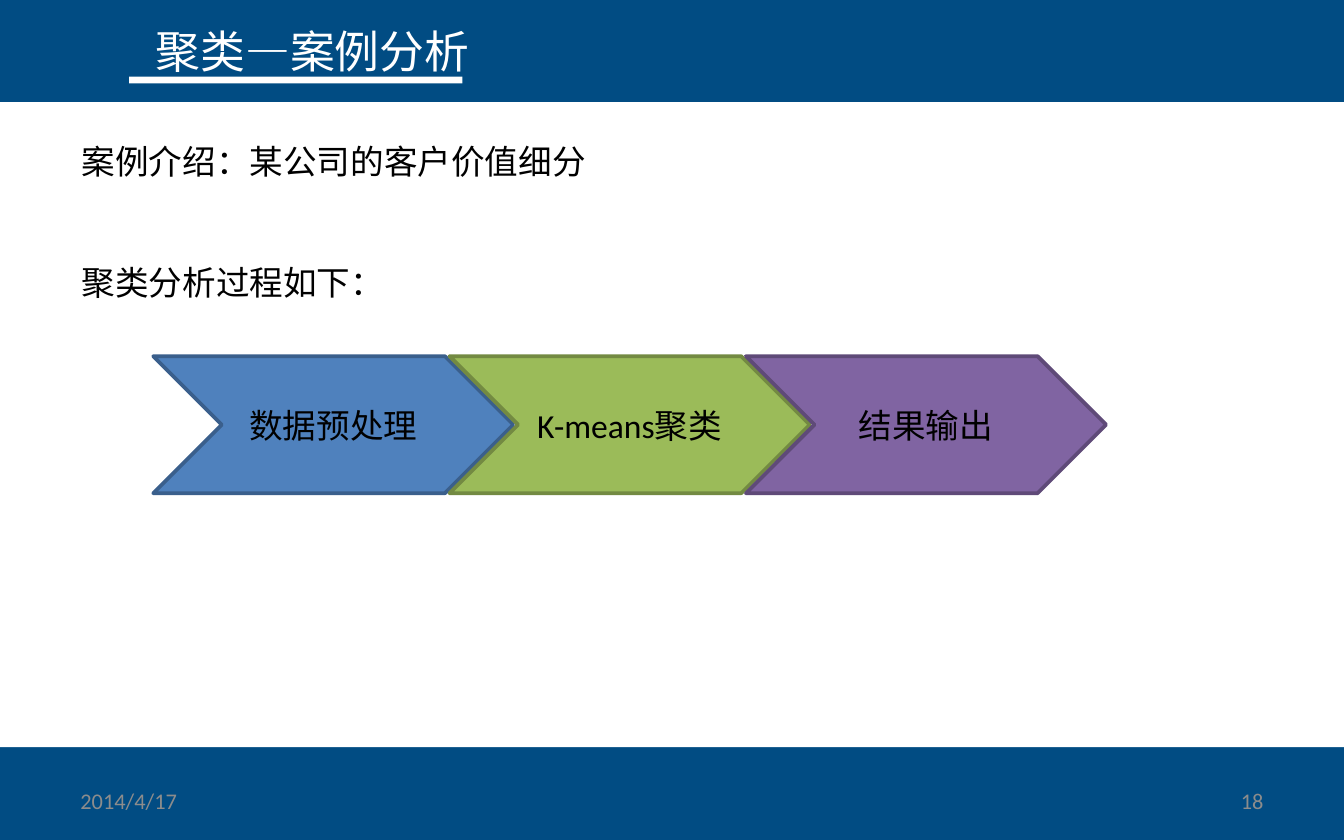
from pptx import Presentation
from pptx.dml.color import RGBColor
from pptx.enum import shapes, text
from pptx.util import Inches, Pt

NAVY = RGBColor(0x01, 0x4C, 0x83)
WHITE = RGBColor(0xFF, 0xFF, 0xFF)
BLACK = RGBColor(0x00, 0x00, 0x00)
GREY = RGBColor(0x8C, 0x8C, 0x8C)
BLUE, BLUE_EDGE = RGBColor(0x4F, 0x81, 0xBD), RGBColor(0x3A, 0x5F, 0x8C)
GREEN, GREEN_EDGE = RGBColor(0x9B, 0xBB, 0x59), RGBColor(0x73, 0x8A, 0x42)
PURPLE, PURPLE_EDGE = RGBColor(0x80, 0x64, 0xA2), RGBColor(0x5F, 0x4A, 0x78)

TOP, MIDDLE = text.MSO_ANCHOR.TOP, text.MSO_ANCHOR.MIDDLE
LEFT, CENTER, RIGHT = text.PP_ALIGN.LEFT, text.PP_ALIGN.CENTER, text.PP_ALIGN.RIGHT

# Content
BODY = ["案例介绍：某公司的客户价值细分", "聚类分析过程如下："]
STEPS = [
    ("数据预处理", BLUE, BLUE_EDGE),
    ("K-means聚类", GREEN, GREEN_EDGE),
    ("结果输出", PURPLE, PURPLE_EDGE),
]

# Formats
TITLE_FONT = {"name": "Arial Narrow", "size": Pt(24)}
BODY_FONT = {"name": "Calibri", "size": Pt(18)}
FOOTER_FONT = {"name": "Calibri", "size": Pt(12)}

# Layout in inches
PANEL = (0, 0.76, 10, 4.8)
TITLE_BOX = (1.06, 0.13, 3.23, 0.5)
UNDERLINE = (0.96, 0.57, 2.48, 0.05)
BODY_BOX = (0.51, 1, 9.29, 1.62)
DATE_BOX = (0.5, 5.79, 2.33, 0.33)
NUMBER_BOX = (7.17, 5.79, 2.33, 0.33)
STEP_LEFT, STEP_TOP, STEP_W, STEP_H, STEP_PITCH = 1.14, 2.65, 2.68, 1.02, 2.205


def write(sp, lines, font, color, align=LEFT, anchor=TOP, gap=0):
    tf = sp.text_frame
    tf.word_wrap = True
    tf.vertical_anchor = anchor
    for i, line in enumerate(lines):
        p = tf.paragraphs[0] if i == 0 else tf.add_paragraph()
        p.alignment = align
        if i:
            p.space_before = Pt(gap)
        r = p.add_run()
        r.text = line
        for key, value in font.items():
            setattr(r.font, key, value)
        r.font.color.rgb = color


def add_text(s, box, *args, **kwargs):
    write(s.shapes.add_textbox(*map(Inches, box)), *args, **kwargs)


def add_filled(s, kind, box, fill, edge=None):
    sp = s.shapes.add_shape(kind, *map(Inches, box))
    sp.shadow.inherit = False
    sp.fill.solid()
    sp.fill.fore_color.rgb = fill
    if edge is None:
        sp.line.fill.background()
    else:
        sp.line.color.rgb = edge
        sp.line.width = Pt(2)
    return sp


prs = Presentation()
prs.slide_width, prs.slide_height = Inches(10), Inches(6.25)
s = prs.slides.add_slide(prs.slide_layouts[6])
s.background.fill.solid()
s.background.fill.fore_color.rgb = NAVY

# White panel, title and underline
add_filled(s, shapes.MSO_SHAPE.RECTANGLE, PANEL, WHITE)
add_text(s, TITLE_BOX, ["聚类—案例分析"], TITLE_FONT, WHITE)
add_filled(s, shapes.MSO_SHAPE.RECTANGLE, UNDERLINE, WHITE)

# Footer
add_text(s, NUMBER_BOX, ["18"], FOOTER_FONT, GREY, RIGHT, MIDDLE)
add_text(s, DATE_BOX, ["2014/4/17"], FOOTER_FONT, GREY, LEFT, MIDDLE)

# Introduction
add_text(s, BODY_BOX, BODY, BODY_FONT, BLACK, gap=43)

# Process chevrons
for i, (label, fill, edge) in enumerate(STEPS):
    box = (STEP_LEFT + i * STEP_PITCH, STEP_TOP, STEP_W, STEP_H)
    sp = add_filled(s, shapes.MSO_SHAPE.CHEVRON, box, fill, edge)
    tf = sp.text_frame
    tf.margin_left = tf.margin_right = 0
    write(sp, [label], BODY_FONT, BLACK, CENTER, MIDDLE)

prs.save("out.pptx")
